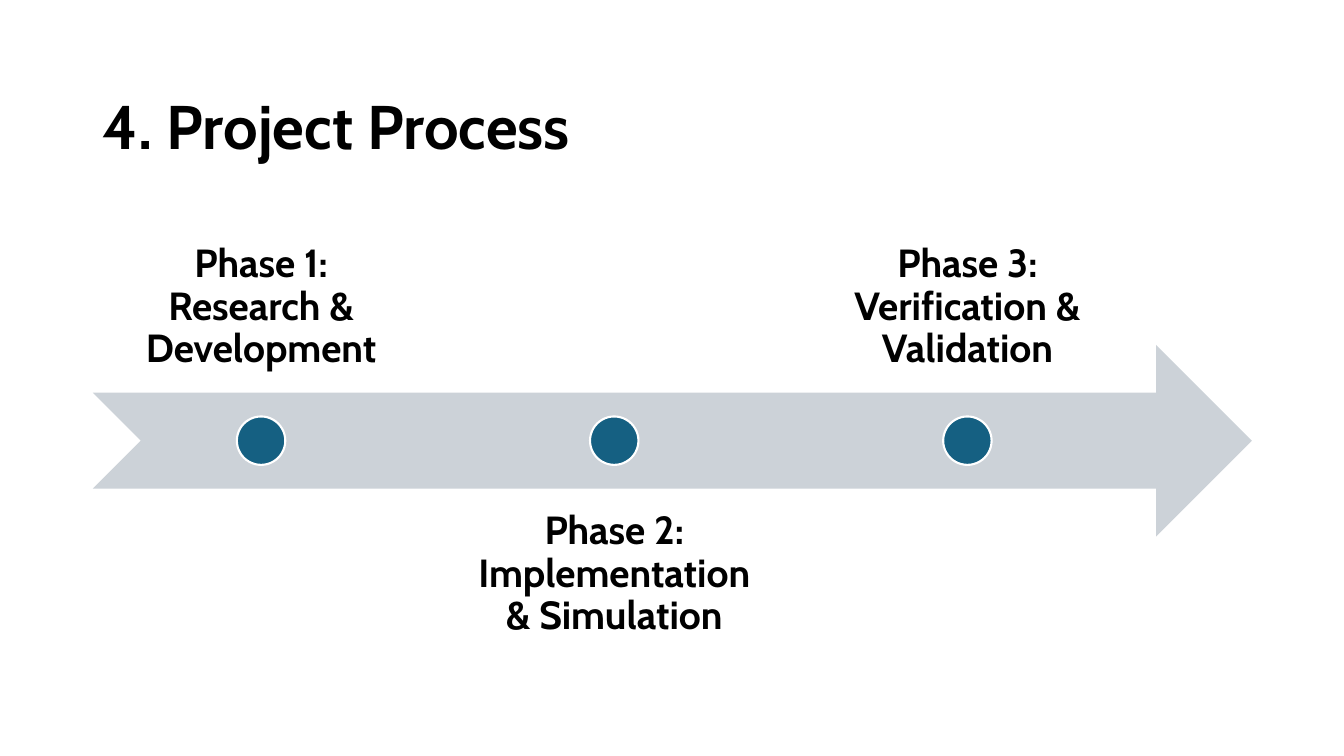
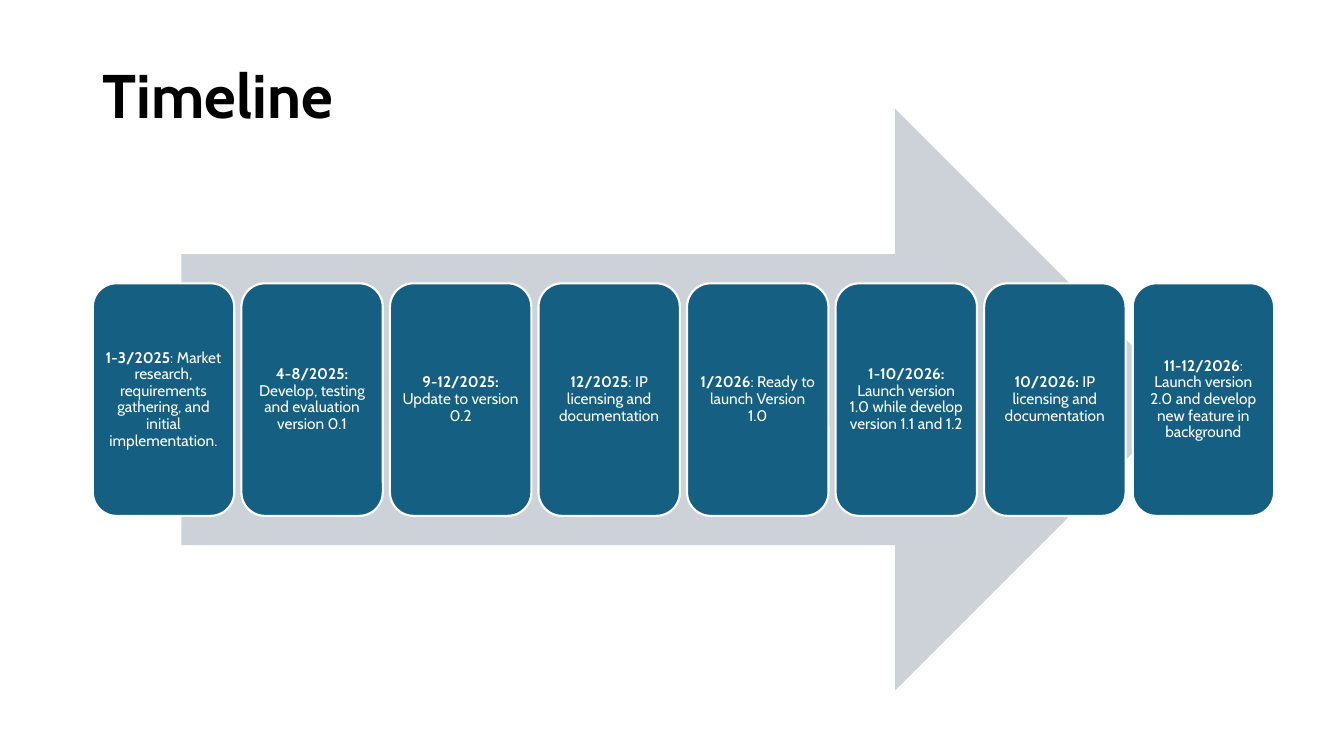
from dataclasses import dataclass

from pptx import Presentation
from pptx import util as u
from pptx.dml.color import RGBColor
from pptx.enum import shapes, text

FACE = "Cabin"
BLACK, WHITE, BLUE, GREY = "000000", "FFFFFF", "156082", "CCD2D8"
LEFT, WIDE = 2.34, 29.21
KIND = shapes.MSO_SHAPE
TOP, MID, LOW = text.MSO_ANCHOR.TOP, text.MSO_ANCHOR.MIDDLE, text.MSO_ANCHOR.BOTTOM


@dataclass
class Box:
    left: float
    top: float
    width: float
    height: float

    def size(self) -> list:
        return [u.Cm(n) for n in (self.left, self.top, self.width, self.height)]


@dataclass
class Style:
    size: int
    color: str
    anchor: text.MSO_ANCHOR
    inset: float
    align: text.PP_ALIGN = text.PP_ALIGN.CENTER


@dataclass
class Step:
    date: str
    task: str


PHASES = [
    "Phase 1: Research & Development",
    "Phase 2: Implementation & Simulation",
    "Phase 3: Verification & Validation",
]
STEPS = [
    Step("1-3/2025", ": Market research, requirements gathering, and initial implementation."),
    Step("4-8/2025: ", "Develop, testing and evaluation version 0.1"),
    Step("9-12/2025:", " Update to version 0.2"),
    Step("12/2025", ": IP licensing and documentation"),
    Step("1/2026", ": Ready to launch Version 1.0"),
    Step("1-10/2026: ", "Launch version 1.0 while develop version 1.1 and 1.2"),
    Step("10/2026:", " IP licensing and documentation"),
    Step("11-12/2026", ": Launch version 2.0 and develop new feature in background"),
]


def rgb(code: str) -> RGBColor:
    return RGBColor.from_string(code)


def apply(item, values: dict) -> None:
    for name, value in values.items():
        setattr(item, name, value)


def write(shape, style: Style, bold: str, plain: str = "") -> None:
    """Fill a shape with one paragraph: a bold run, then a plain one."""
    frame = shape.text_frame
    pad = u.Cm(style.inset)
    sides = ("margin_left", "margin_top", "margin_right", "margin_bottom")
    apply(frame, dict.fromkeys(sides, pad))
    apply(frame, {"word_wrap": True, "vertical_anchor": style.anchor,
                  "auto_size": text.MSO_AUTO_SIZE.NONE})
    para = frame.paragraphs[0]
    apply(para, {"alignment": style.align, "line_spacing": 0.9})
    for words, heavy in ((bold, True), (plain, False)):
        if words:
            run = para.add_run()
            run.text = words
            apply(run.font, {"name": FACE, "size": u.Pt(style.size), "bold": heavy})
            run.font.color.rgb = rgb(style.color)


def draw(slide, kind: KIND, box: Box, fill: str, edge: str = ""):
    shape = slide.shapes.add_shape(kind, *box.size())
    shape.shadow.inherit = False
    shape.fill.solid()
    shape.fill.fore_color.rgb = rgb(fill)
    if edge:
        shape.line.color.rgb = rgb(edge)
        shape.line.width = u.Pt(1.5)
    else:
        shape.line.fill.background()
    return shape


def start(deck, title: str, top: float):
    """Add a slide with its title placed at the given height."""
    slide = deck.slides.add_slide(deck.slide_layouts[5])
    head = slide.shapes.title
    place = Box(LEFT, top, WIDE, 2.77).size()
    apply(head, dict(zip(("left", "top", "width", "height"), place)))
    write(head, Style(44, BLACK, MID, 0.25, text.PP_ALIGN.LEFT), title)
    return slide


def process(deck) -> None:
    slide = start(deck, "4. Project Process", 1.88)
    arrow = Box(LEFT, 8.69, WIDE, 4.83)
    draw(slide, KIND.NOTCHED_RIGHT_ARROW, arrow, GREY)
    wide, step, dot = 8.48, 8.9, 1.22
    for i, name in enumerate(PHASES):
        left = LEFT + i * step
        top, anchor = (12.32, TOP) if i % 2 else (5.08, LOW)
        label = slide.shapes.add_textbox(*Box(left, top, wide, arrow.height).size())
        write(label, Style(28, BLACK, anchor, 0.56), name)
        spot = Box(left + (wide - dot) / 2, arrow.top + (arrow.height - dot) / 2, dot, dot)
        draw(slide, KIND.OVAL, spot, BLUE, WHITE)


def timeline(deck) -> None:
    slide = start(deck, "Timeline", 1.09)
    draw(slide, KIND.RIGHT_ARROW, Box(4.57, 2.74, 25.32, 14.66), GREY)
    span, gap, count = 29.77, 0.18, len(STEPS)
    wide = (span - gap * (count - 1)) / count
    style = Style(11, WHITE, MID, 0.13)
    for i, step in enumerate(STEPS):
        box = Box(LEFT + i * (wide + gap), 7.14, wide, 5.86)
        card = draw(slide, KIND.ROUNDED_RECTANGLE, box, BLUE, WHITE)
        write(card, style, step.date, step.task)


def main() -> None:
    deck = Presentation()
    apply(deck, {"slide_width": u.Cm(33.87), "slide_height": u.Cm(19.05)})
    process(deck)
    timeline(deck)
    deck.save("out.pptx")


if __name__ == "__main__":
    main()
